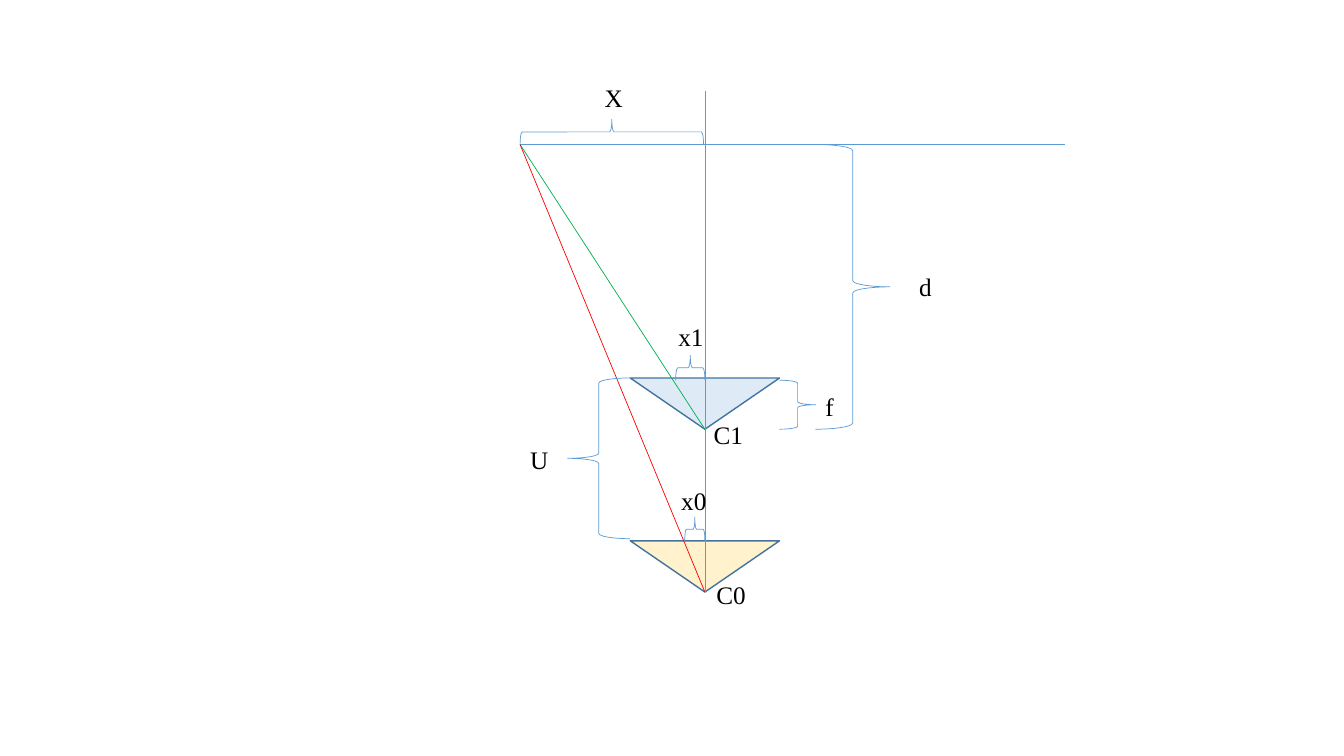
"""Draw the two-camera similar-triangles diagram on one slide."""
from lxml import etree
from pptx import Presentation
from pptx.dml.color import RGBColor
from pptx.enum import shapes, text
from pptx.oxml.ns import qn
from pptx.util import Pt

THEME = {
    "blue": "5B9BD5", "edge": "43739E", "gold": "FFC000", "green": "00B050",
    "red": "FF0000", "ink": "000000", "font": "Times New Roman",
    "label": 18, "thin": 0.5, "outline": 1, "opacity": 20,
}
AXIS_X, AXIS_TOP = 503.5, 65
WALL_Y, WALL_RIGHT, POINT_X = 103.2, 761, 371.5
CAMERA_WIDTH, FOCAL = 106.6, 36.6
CAMERA_1_Y, CAMERA_0_Y = 306.6, 422.9
CAMERA_LEFT = AXIS_X - CAMERA_WIDTH / 2
CAMERA_RIGHT = AXIS_X + CAMERA_WIDTH / 2
CAMERAS = [(CAMERA_1_Y, "blue"), (CAMERA_0_Y, "gold")]
LINES = [
    (POINT_X, WALL_Y, WALL_RIGHT, WALL_Y, "blue"),
    (POINT_X, WALL_Y, AXIS_X, CAMERA_1_Y, "green"),
    (POINT_X, WALL_Y, AXIS_X, CAMERA_0_Y, "red"),
    (AXIS_X, CAMERA_0_Y, AXIS_X, AXIS_TOP, "blue"),
]
BRACES = [
    ("right", CAMERA_RIGHT, 271.6, 25.9, 35),
    ("right", 582.5, WALL_Y, 53.3, CAMERA_1_Y - WALL_Y),
    ("left", 405.4, CAMERA_1_Y - FOCAL, 44.6, 114.8),
    ("top", 482.6, 253.7, 20.9, 18),
    ("top", 489.1, 369.4, 14.4, 17.3),
    ("top", POINT_X, 85.2, 131, 18),
]
LABELS = [
    ("f", 582.5, 275.9, 21), ("U", 371.5, 313.5, 27.4), ("d", 649.5, 190.2, 24.5),
    ("x1", 477.4, 226.1, 32.4), ("x0", 479.5, 342.9, 32.4), ("C0", 504.7, 410, 36),
    ("C1", 502.6, 295.7, 36), ("X", 424.8, 54.9, 27.4),
]


def color(name):
    """Return a theme colour."""
    return RGBColor.from_string(THEME[name])


def add_outline(page, kind, x, y, width, height, line, weight, rotation=0):
    """Add an unfilled preset shape with a coloured outline."""
    shape = page.shapes.add_shape(kind, Pt(x), Pt(y), Pt(width), Pt(height))
    shape.shadow.inherit = False
    shape.fill.background()
    shape.line.color.rgb = color(line)
    shape.line.width = Pt(weight)
    shape.rotation = rotation
    return shape


def add_camera(page, apex_y, fill):
    """Add a translucent triangle pointing down to its camera centre."""
    shape = add_outline(page, shapes.MSO_SHAPE.ISOSCELES_TRIANGLE, CAMERA_LEFT,
                        apex_y - FOCAL, CAMERA_WIDTH, FOCAL, "edge",
                        THEME["outline"], 180)
    shape.fill.solid()
    shape.fill.fore_color.rgb = color(fill)
    swatch = shape.fill._xPr.find(qn("a:solidFill"))[0]
    etree.SubElement(swatch, qn("a:alpha"), val=str(THEME["opacity"] * 1000))


def add_line(page, x1, y1, x2, y2, line):
    """Add a thin straight line."""
    connector = page.shapes.add_connector(
        shapes.MSO_CONNECTOR.STRAIGHT, Pt(x1), Pt(y1), Pt(x2), Pt(y2))
    connector.line.color.rgb = color(line)
    connector.line.width = Pt(THEME["thin"])
    etree.SubElement(connector._element.spPr, qn("a:effectLst"))


def add_brace(page, side, x, y, width, height):
    """Add a brace that fills the given visible area and points to one side."""
    kind = shapes.MSO_SHAPE.RIGHT_BRACE if side == "right" else shapes.MSO_SHAPE.LEFT_BRACE
    rotation = 0
    if side == "top":
        x, y = x + (width - height) / 2, y + (height - width) / 2
        width, height, rotation = height, width, 90
    add_outline(page, kind, x, y, width, height, "blue", THEME["thin"], rotation)


def add_label(page, words, x, y, width, height=29, size=THEME["label"], ink="ink"):
    """Add a one-line text label."""
    box = page.shapes.add_textbox(Pt(x), Pt(y), Pt(width), Pt(height))
    frame = box.text_frame
    frame.word_wrap = False
    frame.auto_size = text.MSO_AUTO_SIZE.SHAPE_TO_FIT_TEXT
    span = frame.paragraphs[0].add_run()
    span.text = words
    span.font.name = THEME["font"]
    span.font.size = Pt(size)
    span.font.color.rgb = color(ink)


def main():
    """Build and save the deck."""
    deck = Presentation()
    deck.slide_width, deck.slide_height = Pt(960), Pt(540)
    page = deck.slides.add_slide(deck.slide_layouts[6])
    for camera in CAMERAS:
        add_camera(page, *camera)
    for line in LINES:
        add_line(page, *line)
    for brace in BRACES:
        add_brace(page, *brace)
    for label in LABELS:
        add_label(page, *label)
    deck.save("out.pptx")


if __name__ == "__main__":
    main()
